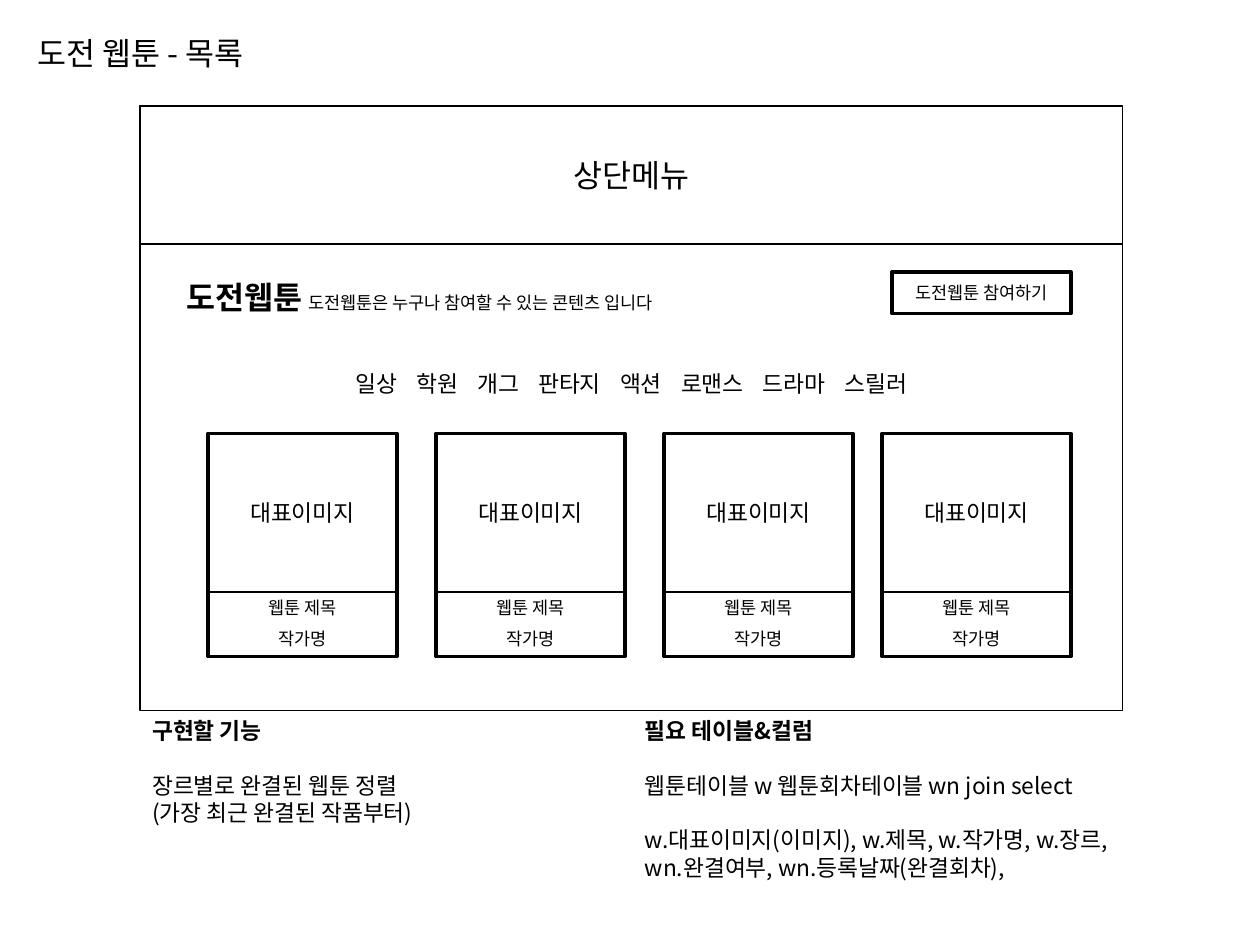
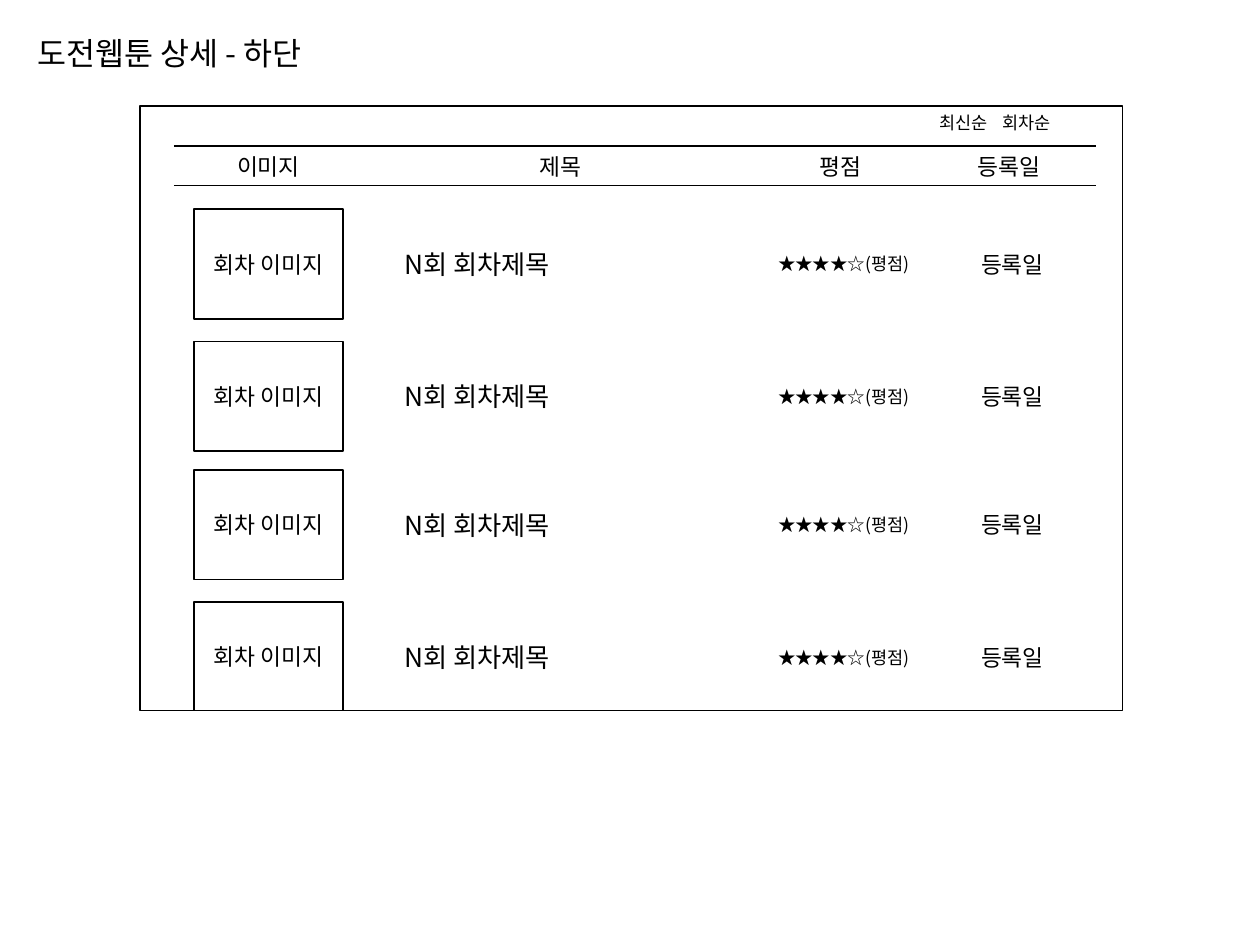
from dataclasses import dataclass
from lxml import etree
from pptx import Presentation
from pptx import util as u
from pptx.dml.color import RGBColor
from pptx.enum import shapes, text
from pptx.oxml import ns


@dataclass(frozen=True)
class Theme:
    font: str = "Noto Sans CJK KR"
    ink: RGBColor = RGBColor(0, 0, 0)
    paper: RGBColor = RGBColor(255, 255, 255)
    title: float = 18
    episode: float = 15
    body: float = 13
    small: float = 10
    blank_line: float = 15.6
    hairline: float = 0.75
    thin: float = 1
    thick: float = 2


THEME = Theme()
LEFT, CENTER = text.PP_ALIGN.LEFT, text.PP_ALIGN.CENTER
TOP, MIDDLE = text.MSO_ANCHOR.TOP, text.MSO_ANCHOR.MIDDLE
FRAME = (1.11, 0.84, 7.8, 4.8)
TITLE_AT = (0.2, 0.22, 3.31, 0.4)

LIST_TITLE = "도전 웹툰 - 목록"
TOP_MENU = "상단메뉴"
HEADING = [("도전웹툰", THEME.title, True), (" ", THEME.episode, True),
           ("도전웹툰은 누구나 참여할 수 있는 콘텐츠 입니다", THEME.small, False)]
JOIN_BUTTON = "도전웹툰 참여하기"
GENRES = ["일상", "학원", "개그", "판타지", "액션", "로맨스", "드라마", "스릴러"]
CARD_LEFTS = [1.65, 3.46, 5.27, 7.0]
CARD_IMAGE = "대표이미지"
CARD_CAPTIONS = [("웹툰 제목", 4.69), ("작가명", 4.93)]
NOTES = [
    ((1.11, 5.64, 3.9, 1.19), "구현할 기능",
     [["장르별로 완결된 웹툰 정렬", "(가장 최근 완결된 작품부터)"]]),
    ((5.02, 5.64, 3.89, 1.85), "필요 테이블&컬럼",
     [["웹툰테이블 w 웹툰회차테이블 wn join select"],
      ["w.대표이미지(이미지), w.제목, w.작가명, w.장르,",
       "wn.완결여부, wn.등록날짜(완결회차),"]]),
]

DETAIL_TITLE = "도전웹툰 상세 - 하단"
SORT_ORDERS = ["최신순", "회차순"]
COLUMNS = [("이미지", 1.54, 1.18), ("제목", 3.11, 2.67),
           ("평점", 6.0, 1.34), ("등록일", 7.34, 1.34)]
RULE_TOPS = [1.16, 1.47]
EPISODE_TOPS = [1.66, 2.71, 3.73, 4.78]
EPISODE_IMAGE = "회차 이미지"
EPISODE_CELLS = [("N회 회차제목", 3.11, 2.6, THEME.episode, LEFT),
                 ("★★★★☆(평점)", 5.79, 1.81, THEME.small, CENTER),
                 ("등록일", 7.13, 1.81, THEME.body, CENTER)]


def add_span(para, words, size, bold=False):
    span = para.add_run()
    span.text = words
    span.font.size = u.Pt(size)
    span.font.bold = bold
    span.font.name = THEME.font
    span.font.color.rgb = THEME.ink
    east_asian = etree.SubElement(span.font._element, ns.qn("a:ea"))
    east_asian.set("typeface", THEME.font)


def write(box, paras, align=LEFT, anchor=MIDDLE):
    frame = box.text_frame
    frame.word_wrap = True
    frame.auto_size = text.MSO_AUTO_SIZE.NONE
    frame.vertical_anchor = anchor
    for index, (spans, gap) in enumerate(paras):
        para = frame.paragraphs[0] if index == 0 else frame.add_paragraph()
        para.alignment = align
        para.space_before = u.Pt(gap)
        for span in spans:
            add_span(para, *span)


def add_text(page, at, paras, align=LEFT, anchor=MIDDLE):
    box = page.shapes.add_textbox(*map(u.Inches, at))
    write(box, paras, align, anchor)
    return box


def add_label(page, at, words, size, align=CENTER):
    return add_text(page, at, [([(words, size)], 0)], align)


def add_rect(page, at, weight=THEME.thin, words="", size=THEME.body, filled=True):
    box = page.shapes.add_shape(shapes.MSO_SHAPE.RECTANGLE, *map(u.Inches, at))
    box.shadow.inherit = False
    if filled:
        box.fill.solid()
        box.fill.fore_color.rgb = THEME.paper
    else:
        box.fill.background()
    box.line.color.rgb = THEME.ink
    box.line.width = u.Pt(weight)
    if words:
        write(box, [([(words, size)], 0)], CENTER)


def add_rule(page, left, right, top):
    rule = page.shapes.add_connector(
        shapes.MSO_CONNECTOR.STRAIGHT, *map(u.Inches, (left, top, right, top)))
    rule.line.color.rgb = THEME.ink
    rule.line.width = u.Pt(THEME.hairline)
    etree.SubElement(rule._element.spPr, ns.qn("a:effectLst"))


def add_tabbed(page, at, words, size, inset=0.1):
    box = add_label(page, at, "\t".join(words), size, LEFT)
    box.text_frame.margin_left = u.Inches(inset)
    properties = box.text_frame.paragraphs[0]._p.get_or_add_pPr()
    stops = etree.SubElement(properties, ns.qn("a:tabLst"))
    position = 0
    for word in words[:-1]:
        position += (len(word) * 0.92 + 0.84) * size / 72
        stop = etree.SubElement(stops, ns.qn("a:tab"))
        stop.set("pos", str(int(u.Inches(position))))
        stop.set("algn", "l")


def add_page(deck, title):
    page = deck.slides.add_slide(deck.slide_layouts[5])
    box = page.shapes.title
    box.left, box.top, box.width, box.height = map(u.Inches, TITLE_AT)
    write(box, [([(title, THEME.title)], 0)])
    add_rect(page, FRAME)
    return page


def build_list(deck):
    page = add_page(deck, LIST_TITLE)
    for at, heading, groups in NOTES:
        paras = [([(heading, THEME.body, True)], 0)]
        for group in groups:
            for index, line in enumerate(group):
                gap = THEME.blank_line if index == 0 else 0
                paras.append(([(line, THEME.body)], gap))
        add_text(page, at, paras, anchor=TOP)
    add_rect(page, (*FRAME[:3], 1.1), words=TOP_MENU, size=THEME.title)
    add_tabbed(page, (1.78, 2.88, 6.46, 0.32), GENRES, THEME.body, 1.04)
    for left in CARD_LEFTS:
        add_rect(page, (left, 3.44, 1.5, 1.26), words=CARD_IMAGE)
        for caption, top in CARD_CAPTIONS:
            add_label(page, (left, top, 1.5, 0.27), caption, THEME.small)
        add_rect(page, (left, 3.44, 1.5, 1.77), THEME.thick, filled=False)
    add_text(page, (1.38, 2.16, 4.49, 0.4), [(HEADING, 0)])
    add_rect(page, (7.08, 2.16, 1.42, 0.33), THEME.thick, JOIN_BUTTON,
             THEME.small, filled=False)


def build_detail(deck):
    page = add_page(deck, DETAIL_TITLE)
    add_tabbed(page, (7.36, 0.84, 1.34, 0.27), SORT_ORDERS, THEME.small)
    for top in RULE_TOPS:
        add_rule(page, 1.38, 8.7, top)
    for name, left, width in COLUMNS:
        add_label(page, (left, RULE_TOPS[0], width, 0.32), name, THEME.body)
    for top in EPISODE_TOPS:
        height = min(0.87, FRAME[1] + FRAME[3] - top)
        add_rect(page, (1.54, top, 1.18, height), words=EPISODE_IMAGE)
        for words, left, width, size, align in EPISODE_CELLS:
            box_height = size * 0.016 + 0.11
            cell_top = top + (0.87 - box_height) / 2
            add_label(page, (left, cell_top, width, box_height), words, size, align)


deck = Presentation()
deck.slide_width, deck.slide_height = u.Inches(10), u.Inches(7.5)
build_list(deck)
build_detail(deck)
deck.save("out.pptx")
